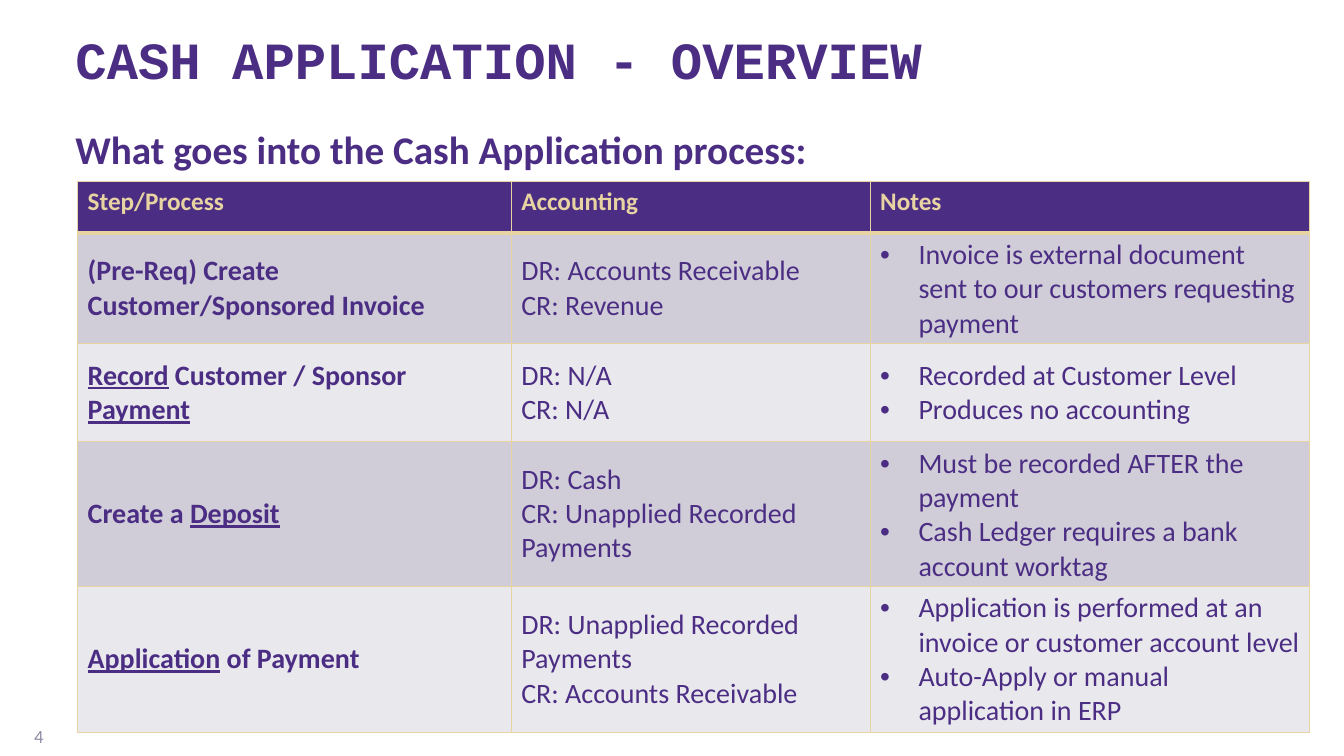
from lxml import etree
from pptx import Presentation
from pptx.dml.color import RGBColor
from pptx.enum.text import MSO_ANCHOR, PP_ALIGN
from pptx.oxml.ns import qn
from pptx.util import Inches, Pt

MIDDLE, TOP = MSO_ANCHOR.MIDDLE, MSO_ANCHOR.TOP
LEFT, RIGHT = PP_ALIGN.LEFT, PP_ALIGN.RIGHT

PURPLE = RGBColor(0x4B, 0x2E, 0x83)
GOLD = RGBColor(0xE8, 0xD3, 0xA2)
GREY = RGBColor(0x90, 0x8C, 0xA4)
BANDS = (RGBColor(0xD0, 0xCD, 0xD9), RGBColor(0xE9, 0xE8, 0xED))
BODY_FONT, TITLE_FONT = "Calibri", "Courier New"

TITLE = "CASH APPLICATION - OVERVIEW"
QUESTION = "What goes into the Cash Application process:"
PAGE_NUMBER = "4"
HEADINGS = ("Step/Process", "Accounting", "Notes")
# Each step: name as (text, underlined) runs, accounting lines, notes
STEPS = [
    ([("(Pre-Req) Create Customer/Sponsored Invoice", False)],
     ["DR: Accounts Receivable", "CR: Revenue"],
     ["Invoice is external document sent to our customers requesting payment"]),
    ([("Record", True), (" Customer / Sponsor ", False), ("Payment", True)],
     ["DR: N/A", "CR: N/A"],
     ["Recorded at Customer Level", "Produces no accounting"]),
    ([("Create a ", False), ("Deposit", True)],
     ["DR: Cash", "CR: Unapplied Recorded Payments"],
     ["Must be recorded AFTER the payment",
      "Cash Ledger requires a bank account worktag"]),
    ([("Application", True), (" of Payment", False)],
     ["DR: Unapplied Recorded Payments", "CR: Accounts Receivable"],
     ["Application is performed at an invoice or customer account level",
      "Auto-Apply or manual application in ERP"]),
]
COLUMN_WIDTHS = (4.3, 3.56, 4.36)
ROW_HEIGHTS = (0.51, 0.97, 0.97, 1.17, 1.45)
TABLE_LEFT, TABLE_TOP = 0.77, 1.8
BULLET_INDENT = Inches(0.38)


def add_run(paragraph, text, size, color, bold=False, underline=False, font=BODY_FONT):
    run = paragraph.add_run()
    run.text = text
    run.font.name = font
    run.font.size = Pt(size)
    run.font.bold = bold
    run.font.underline = underline
    run.font.color.rgb = color


def add_text(slide, box, text, size, color, bold=False, font=BODY_FONT,
             anchor=MIDDLE, align=LEFT):
    frame = slide.shapes.add_textbox(*map(Inches, box)).text_frame
    frame.word_wrap = True
    frame.vertical_anchor = anchor
    frame.paragraphs[0].alignment = align
    add_run(frame.paragraphs[0], text, size, color, bold, font=font)


def add_bullet(paragraph):
    properties = paragraph._p.get_or_add_pPr()
    properties.set("marL", str(BULLET_INDENT))
    properties.set("indent", str(-BULLET_INDENT))
    etree.SubElement(properties, qn("a:buFont")).set("typeface", "Arial")
    etree.SubElement(properties, qn("a:buChar")).set("char", "•")


def style_cell(cell, fill, anchor, bottom_width=1):
    properties = cell._tc.get_or_add_tcPr()
    for side, width in (("L", 1), ("R", 1), ("T", 1), ("B", bottom_width)):
        border = etree.SubElement(properties, qn(f"a:ln{side}"), w=str(Pt(width)))
        line_fill = etree.SubElement(border, qn("a:solidFill"))
        etree.SubElement(line_fill, qn("a:srgbClr"), val=str(GOLD))
    cell.fill.solid()
    cell.fill.fore_color.rgb = fill
    cell.vertical_anchor = anchor


def fill_cell(cell, lines, size, color, bold=False, bulleted=False):
    """Write one paragraph per line; a line is a list of (text, underlined) runs."""
    frame = cell.text_frame
    for index, runs in enumerate(lines):
        paragraph = frame.add_paragraph() if index else frame.paragraphs[0]
        if bulleted:
            add_bullet(paragraph)
        for text, underline in runs:
            add_run(paragraph, text, size, color, bold, underline)


def add_steps_table(slide):
    table = slide.shapes.add_table(
        len(STEPS) + 1, len(HEADINGS), Inches(TABLE_LEFT), Inches(TABLE_TOP),
        Inches(sum(COLUMN_WIDTHS)), Inches(sum(ROW_HEIGHTS))).table
    for column, width in zip(table.columns, COLUMN_WIDTHS):
        column.width = Inches(width)
    for row, height in zip(table.rows, ROW_HEIGHTS):
        row.height = Inches(height)

    for cell, heading in zip(table.rows[0].cells, HEADINGS):
        style_cell(cell, PURPLE, TOP, bottom_width=3)
        fill_cell(cell, [[(heading, False)]], 18, GOLD, bold=True)

    for index, (step, accounting, notes) in enumerate(STEPS):
        columns = ([step],
                   [[(entry, False)] for entry in accounting],
                   [[(note, False)] for note in notes])
        for column, lines in enumerate(columns):
            cell = table.cell(index + 1, column)
            style_cell(cell, BANDS[index % 2], MIDDLE)
            fill_cell(cell, lines, 20, PURPLE, bold=column == 0, bulleted=column == 2)


def main():
    deck = Presentation()
    deck.slide_width, deck.slide_height = Inches(13.33), Inches(7.5)
    slide = deck.slides.add_slide(deck.slide_layouts[6])
    add_text(slide, (0, 7.1, 0.53, 0.4), PAGE_NUMBER, 13.3, GREY, align=RIGHT)
    add_text(slide, (0.65, 0.27, 11.92, 0.63), TITLE, 37.3, PURPLE, True, TITLE_FONT)
    add_text(slide, (0.65, 1.19, 11.93, 5.79), QUESTION, 28, PURPLE, True, anchor=TOP)
    add_steps_table(slide)
    deck.save("out.pptx")


if __name__ == "__main__":
    main()
